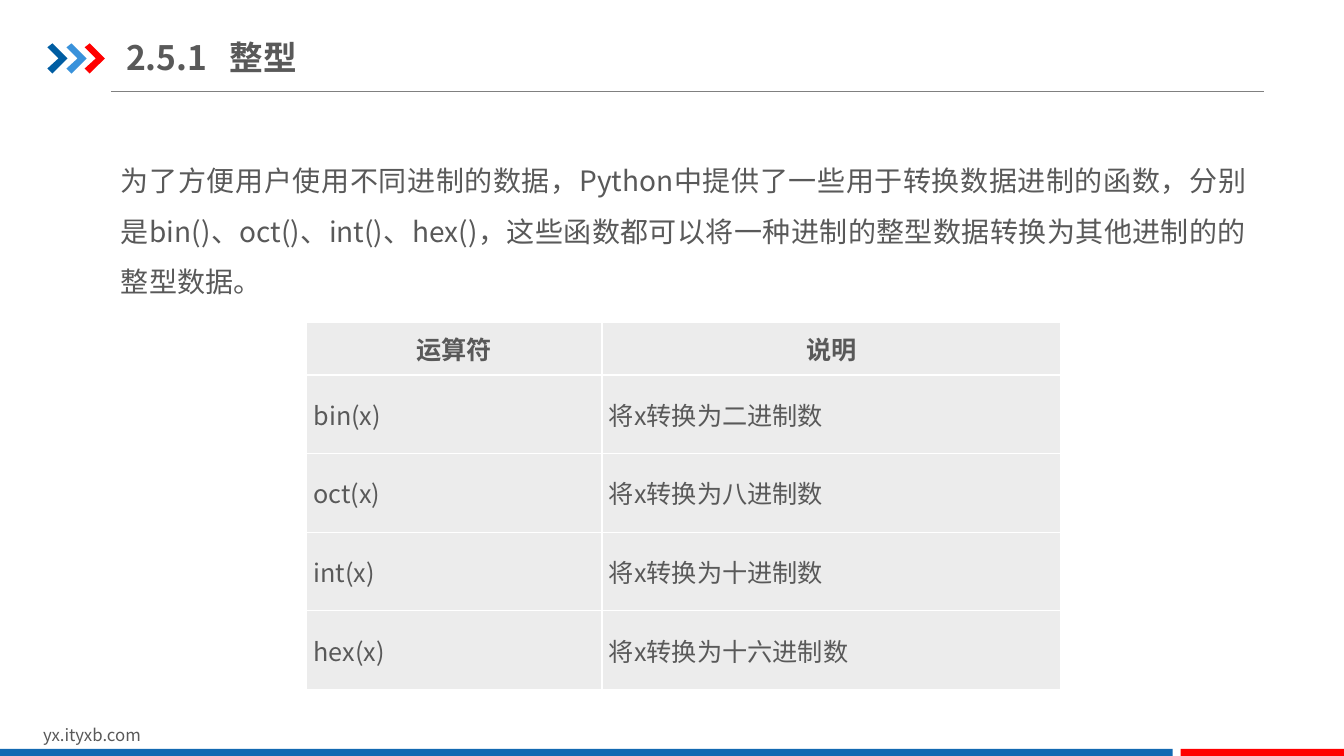
from typing import NamedTuple

from lxml.etree import SubElement
from pptx import Presentation
from pptx.dml.color import RGBColor
from pptx.enum.shapes import MSO_CONNECTOR as Connector, MSO_SHAPE as Preset
from pptx.enum.text import MSO_ANCHOR as Anchor, MSO_AUTO_SIZE as AutoSize, PP_ALIGN as Align
from pptx.oxml import parse_xml
from pptx.oxml.ns import nsdecls, qn
from pptx.util import Inches, Pt

FONT = "Noto Sans CJK SC"
COLORS = {
    "text": "595959", "rule": "808080", "cell": "ECECEC", "border": "FFFFFF",
    "navy": "005DA2", "sky": "3992DB", "red": "FF0000", "blue": "1369B2",
}


class Chevron(NamedTuple):
    left: float
    color: str


class Band(NamedTuple):
    left: float
    width: float
    color: str


class Conversion(NamedTuple):
    function: str
    meaning: str


CHEVRONS = [Chevron(0.47, "navy"), Chevron(0.66, "sky"), Chevron(0.84, "red")]
CHEVRON_OUTLINE = [(0, 0.04), (0.05, 0), (0.2, 0.15), (0.05, 0.3), (0, 0.25), (0.11, 0.15)]
BANDS = [Band(0, 11.63, "blue"), Band(11.71, 1.63, "red")]
HEADER = Conversion("运算符", "说明")
CONVERSIONS = [
    Conversion("bin(x)", "将x转换为二进制数"),
    Conversion("oct(x)", "将x转换为八进制数"),
    Conversion("int(x)", "将x转换为十进制数"),
    Conversion("hex(x)", "将x转换为十六进制数"),
]
EXPLANATION = (
    "为了方便用户使用不同进制的数据，Python中提供了一些用于转换数据进制的函数，"
    "分别是bin()、oct()、int()、hex()，"
    "这些函数都可以将一种进制的整型数据转换为其他进制的的整型数据。"
)


def rgb(name: str) -> RGBColor:
    """Return the named colour."""
    return RGBColor.from_string(COLORS[name])


def write(frame, text: str, *, size: float, bold: bool = False, align=Align.LEFT,
          spacing: float = 1.0, tab: float | None = None) -> None:
    """Put one formatted paragraph in a text frame."""
    paragraph = frame.paragraphs[0]
    paragraph.alignment = align
    paragraph.line_spacing = spacing
    if tab is not None:
        stops = SubElement(paragraph._p.get_or_add_pPr(), qn("a:tabLst"))
        SubElement(stops, qn("a:tab"), pos=str(Inches(tab)), algn="l")
    run = paragraph.add_run()
    run.text = text
    run.font.size = Pt(size)
    run.font.bold = bold
    run.font.color.rgb = rgb("text")
    run.font.name = FONT
    SubElement(run._r.get_or_add_rPr(), qn("a:ea"), typeface=FONT)


def place(shape, left: float, top: float, width: float, height: float) -> None:
    """Set a shape's position and size."""
    shape.left, shape.top = Inches(left), Inches(top)
    shape.width, shape.height = Inches(width), Inches(height)


def set_margins(holder, horizontal: float, vertical: float) -> None:
    """Set the insets of a text frame or table cell."""
    holder.margin_left = holder.margin_right = Inches(horizontal)
    holder.margin_top = holder.margin_bottom = Inches(vertical)


def paint(shape, color: str) -> None:
    """Give a shape a flat fill with no outline or shadow."""
    shape.fill.solid()
    shape.fill.fore_color.rgb = rgb(color)
    shape.line.fill.background()
    shape.shadow.inherit = False


def draw_chevron(slide, chevron: Chevron) -> None:
    """Draw one heading chevron."""
    points = [(Inches(chevron.left + x), Inches(0.43 + y)) for x, y in CHEVRON_OUTLINE]
    builder = slide.shapes.build_freeform(*points[0], scale=1.0)
    builder.add_line_segments(points[1:], close=True)
    paint(builder.convert_to_shape(), chevron.color)


def draw_band(slide, band: Band) -> None:
    """Draw one band along the bottom edge."""
    paint(slide.shapes.add_shape(Preset.RECTANGLE, Inches(band.left), Inches(7.43),
                                 Inches(band.width), Inches(0.09)), band.color)


def draw_rule(slide) -> None:
    """Draw the line under the heading."""
    rule = slide.shapes.add_connector(Connector.STRAIGHT, Inches(1.1), Inches(0.91),
                                      Inches(12.54), Inches(0.91))
    rule.line.color.rgb = rgb("rule")
    rule.line.width = Pt(0.75)
    SubElement(rule._element.spPr, qn("a:effectLst"))


def draw_title(slide) -> None:
    """Place and write the section title."""
    title = slide.shapes.title
    place(title, 1.25, 0.29, 5.34, 0.55)
    frame = title.text_frame
    frame.auto_size = AutoSize.NONE
    frame.vertical_anchor = Anchor.MIDDLE
    set_margins(frame, 0, 0.07)
    write(frame, "2.5.1\t整型", size=24, bold=True, tab=1.03)


def add_text_frame(slide, left: float, top: float, width: float, height: float):
    """Add a wrapping text box and return its frame."""
    frame = slide.shapes.add_textbox(Inches(left), Inches(top),
                                     Inches(width), Inches(height)).text_frame
    frame.word_wrap = True
    return frame


def style_cell(cell) -> None:
    """Fill a cell and give it thin borders."""
    cell.fill.solid()
    cell.fill.fore_color.rgb = rgb("cell")
    cell.vertical_anchor = Anchor.MIDDLE
    for index, side in enumerate("LRTB"):
        cell._tc.get_or_add_tcPr().insert(index, parse_xml(
            f'<a:ln{side} {nsdecls("a")} w="{Pt(1)}"><a:solidFill>'
            f'<a:srgbClr val="{COLORS["border"]}"/></a:solidFill></a:ln{side}>'))


def draw_table(slide) -> None:
    """Draw the table of conversion functions."""
    rows = [HEADER, *CONVERSIONS]
    table = slide.shapes.add_table(len(rows), 2, Inches(3.04), Inches(3.2),
                                   Inches(7.48), Inches(3.65)).table
    for column, width in zip(table.columns, (2.93, 4.55)):
        column.width = Inches(width)
    for row_index, conversion in enumerate(rows):
        is_header = row_index == 0
        table.rows[row_index].height = Inches(0.52 if is_header else 0.78)
        for cell, text in zip(table.rows[row_index].cells, conversion):
            style_cell(cell)
            if not is_header:
                set_margins(cell, 0.07, 0)
            write(cell.text_frame, text, size=18, bold=is_header,
                  align=Align.CENTER if is_header else Align.LEFT)


def main() -> None:
    """Build and save the slide."""
    deck = Presentation()
    deck.slide_width, deck.slide_height = Inches(13.33), Inches(7.5)
    slide = deck.slides.add_slide(deck.slide_layouts[5])
    draw_rule(slide)
    for chevron in CHEVRONS:
        draw_chevron(slide, chevron)
    write(add_text_frame(slide, 0.33, 7.14, 3.18, 0.3), "yx.ityxb.com", size=12)
    for band in BANDS:
        draw_band(slide, band)
    explanation = add_text_frame(slide, 1.07, 1.39, 11.42, 2.3)
    set_margins(explanation, 0.13, 0.07)
    write(explanation, EXPLANATION, size=20, align=Align.JUSTIFY, spacing=1.5)
    draw_title(slide)
    draw_table(slide)
    deck.save("out.pptx")


if __name__ == "__main__":
    main()
